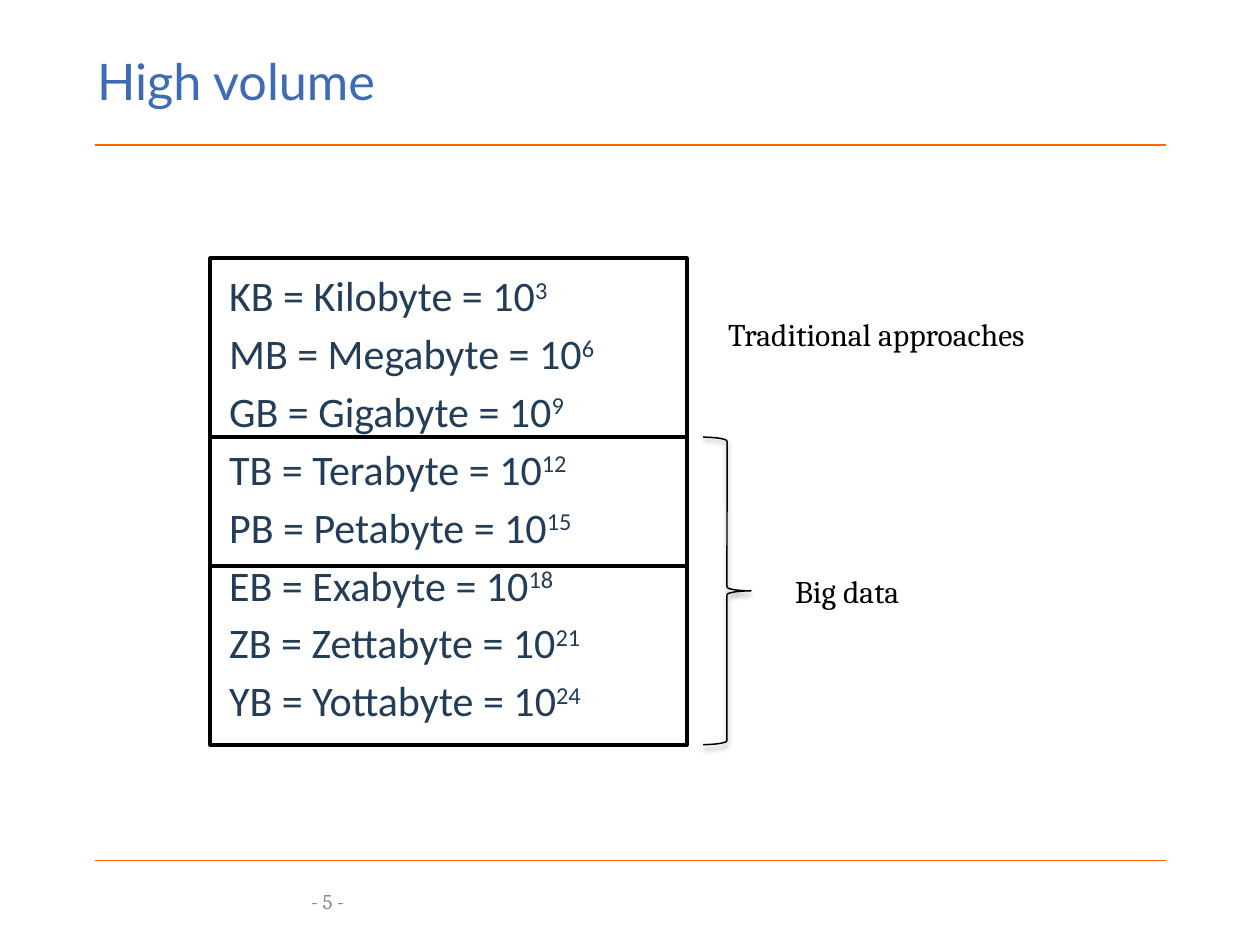
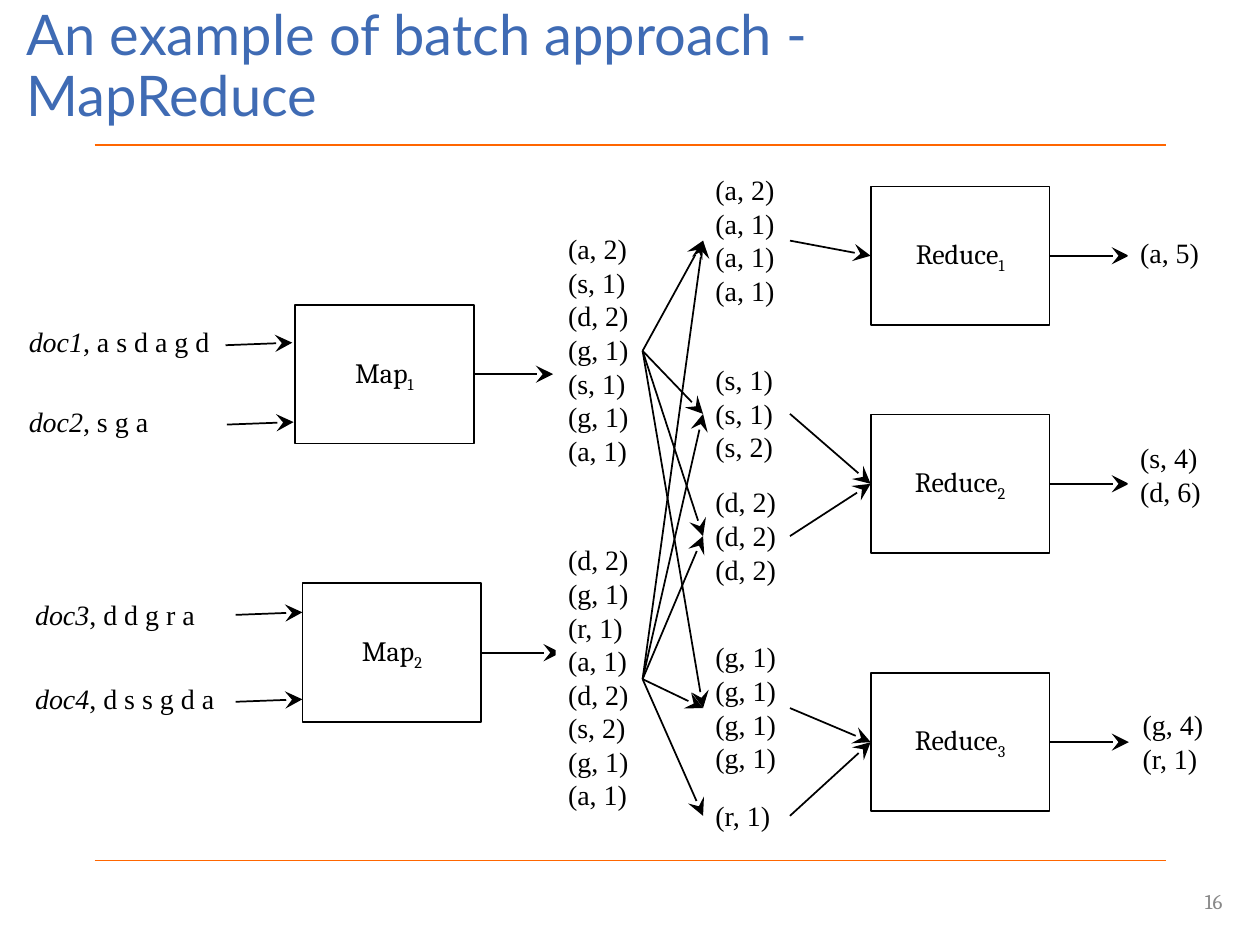
from dataclasses import dataclass

from lxml import etree
from pptx import Presentation
from pptx.dml.color import RGBColor
from pptx.enum.shapes import MSO_CONNECTOR, MSO_SHAPE
from pptx.enum.text import MSO_ANCHOR, MSO_AUTO_SIZE, PP_ALIGN
from pptx.oxml.ns import qn
from pptx.util import Inches, Pt

STRAIGHT = MSO_CONNECTOR.STRAIGHT
RECTANGLE, RIGHT_BRACE = MSO_SHAPE.RECTANGLE, MSO_SHAPE.RIGHT_BRACE
TOP, MIDDLE = MSO_ANCHOR.TOP, MSO_ANCHOR.MIDDLE
LEFT, CENTER, RIGHT = PP_ALIGN.LEFT, PP_ALIGN.CENTER, PP_ALIGN.RIGHT
NO_AUTOFIT = MSO_AUTO_SIZE.NONE
TITLE_ONLY = 5
LEFT_SITE, RIGHT_SITE = 1, 3  # connection sites of a rectangle


@dataclass(frozen=True)
class TextStyle:
    font: str
    size: float
    color: RGBColor


class Theme:
    ink = RGBColor(0x00, 0x00, 0x00)
    paper = RGBColor(0xFF, 0xFF, 0xFF)
    rule = RGBColor(0xFF, 0x66, 0x00)
    blue = RGBColor(0x3F, 0x6B, 0xB4)
    title = TextStyle("Lato", 28.8, blue)
    long_title = TextStyle("Lato", 32, blue)
    units = TextStyle("Calibri", 24, RGBColor(0x23, 0x3D, 0x58))
    label = TextStyle("Cambria", 18, ink)
    stage = TextStyle("Cambria", 16, ink)
    data = TextStyle("Times New Roman", 16, ink)
    page = TextStyle("Cambria", 12, RGBColor(0x88, 0x88, 0x88))


def inches(*lengths):
    return [Inches(length) for length in lengths]


def style_paragraph(paragraph, style, align=LEFT):
    paragraph.alignment = align
    paragraph.font.name = style.font
    paragraph.font.size = Pt(style.size)
    paragraph.font.color.rgb = style.color


def add_text(slide, box, lines, style, align=LEFT, anchor=TOP, wrap=True):
    """Add a text box with one paragraph per line and return it."""
    text_box = slide.shapes.add_textbox(*inches(*box))
    frame = text_box.text_frame
    frame.text = "\n".join(lines)
    frame.word_wrap = wrap
    frame.vertical_anchor = anchor
    for paragraph in frame.paragraphs:
        style_paragraph(paragraph, style, align)
    return text_box


def add_scripted(paragraph, text, script, baseline):
    """Append text followed by a raised or lowered script (baseline in %)."""
    paragraph.add_run().text = text
    run = paragraph.add_run()
    run.text = script
    run._r.get_or_add_rPr().set("baseline", str(baseline * 1000))


def add_outlined(slide, kind, box, width):
    shape = slide.shapes.add_shape(kind, *inches(*box))
    shape.shadow.inherit = False
    shape.fill.background()
    shape.line.color.rgb = Theme.ink
    shape.line.width = Pt(width)
    return shape


def add_line(slide, start, end, color, width):
    line = slide.shapes.add_connector(STRAIGHT, *inches(*start, *end))
    line.line.color.rgb = color
    line.line.width = Pt(width)
    etree.SubElement(line._element.spPr, qn("a:effectLst"))
    return line


def add_arrow(slide, start=(0, 0), end=(0, 0)):
    arrow = add_line(slide, start, end, Theme.ink, 1)
    etree.SubElement(arrow.line._get_or_add_ln(), qn("a:tailEnd"),
                     type="stealth", w="lg", len="lg")
    return arrow


def link(slide, source, target):
    """Draw an arrow from the right side of source to the left side of target."""
    arrow = add_arrow(slide)
    arrow.begin_connect(source, RIGHT_SITE)
    arrow.end_connect(target, LEFT_SITE)


def add_base_slide(deck, title, title_box, title_style, page, page_box):
    """Add a slide with its title, the two orange rules and the page number."""
    slide = deck.slides.add_slide(deck.slide_layouts[TITLE_ONLY])
    for y in (6.83, 1.15):
        add_line(slide, (0.75, y), (9.25, y), Theme.rule, 0.75)
    heading = slide.shapes.title
    heading.left, heading.top, heading.width, heading.height = inches(*title_box)
    frame = heading.text_frame
    frame.text = title
    frame.word_wrap = True
    frame.auto_size = NO_AUTOFIT
    frame.vertical_anchor = MIDDLE
    style_paragraph(frame.paragraphs[0], title_style)
    frame.paragraphs[0].line_spacing = 0.9
    add_text(slide, page_box, [page], Theme.page, RIGHT, MIDDLE)
    return slide


UNITS = [("KB", "Kilobyte"), ("MB", "Megabyte"), ("GB", "Gigabyte"),
         ("TB", "Terabyte"), ("PB", "Petabyte"), ("EB", "Exabyte"),
         ("ZB", "Zettabyte"), ("YB", "Yottabyte")]


def add_unit_list(slide, left, top, width, band_heights):
    """List the byte units inside a stack of framed bands."""
    units = add_text(slide, (left + 0.05, top + 0.12, width - 0.1, 3.89),
                     [""] * len(UNITS), Theme.units)
    for row, (symbol, name) in enumerate(UNITS):
        paragraph = units.text_frame.paragraphs[row]
        paragraph.line_spacing = 0.8
        paragraph.space_before = Pt(10 if row else 0)
        add_scripted(paragraph, f"{symbol} = {name} = 10", str(3 * (row + 1)), 30)
    for height in band_heights:
        add_outlined(slide, RECTANGLE, (left, top, width, height), 2.25)
        top += height


def add_brace(slide, box):
    brace = add_outlined(slide, RIGHT_BRACE, box, 0.85)
    brace.adjustments[0], brace.adjustments[1] = 0.083, 0.5
    effects = brace._element.spPr.find(qn("a:effectLst"))
    shadow = etree.SubElement(effects, qn("a:outerShdw"), blurRad=str(Pt(3)),
                              dist=str(Pt(2)), dir="5400000", rotWithShape="0")
    color = etree.SubElement(shadow, qn("a:srgbClr"), val=str(Theme.ink))
    etree.SubElement(color, qn("a:alpha"), val="40000")


def build_volume_slide(deck):
    slide = add_base_slide(deck, "High volume", (0.67, 0.41, 8.62, 0.51),
                           Theme.title, "- 5 -", (0.5, 6.95, 2.33, 0.4))
    add_unit_list(slide, 1.67, 2.05, 3.78, (1.42, 1.02, 1.42))
    add_text(slide, (5.68, 2.45, 2.76, 0.4), ["Traditional approaches"], Theme.label)
    add_text(slide, (6.21, 4.49, 1.13, 0.4), ["Big data"], Theme.label)
    add_brace(slide, (5.58, 3.47, 0.38, 2.44))


STAGE_WIDTH, STAGE_HEIGHT = 1.42, 1.1
OUTPUT_ARROW = 0.63


def add_pairs(slide, left, top, pairs):
    """Add a column of (word, count) pairs, as tall as its rows."""
    lines = [f"({word}, {count})" for word, count in pairs]
    column = add_text(slide, (left, top, 0.69, 0.1 + 0.27 * len(lines)),
                      lines, Theme.data, wrap=False)
    column.fill.solid()
    column.fill.fore_color.rgb = Theme.paper
    return column


def add_stage(slide, left, top, name, number):
    """Add a processing box with the arrow that leaves it."""
    stage = add_outlined(slide, RECTANGLE, (left, top, STAGE_WIDTH, STAGE_HEIGHT), 1)
    stage.fill.solid()
    stage.fill.fore_color.rgb = Theme.paper
    stage.text_frame.vertical_anchor = MIDDLE
    paragraph = stage.text_frame.paragraphs[0]
    style_paragraph(paragraph, Theme.stage, CENTER)
    add_scripted(paragraph, name, str(number), -25)
    right, middle = left + STAGE_WIDTH, top + STAGE_HEIGHT / 2
    add_arrow(slide, (right, middle), (right + OUTPUT_ARROW, middle))
    return stage


def add_document(slide, left, top, name, words, arrow_start):
    document = add_text(slide, (left, top, 1.68, 0.37), [""], Theme.data)
    paragraph = document.text_frame.paragraphs[0]
    title = paragraph.add_run()
    title.text = name
    title.font.italic = True
    paragraph.add_run().text = f", {words}"
    x, y = arrow_start
    add_arrow(slide, arrow_start, (x + 0.53, y - 0.02))


DOCUMENTS = [
    (0.13, 2.53, "doc1", "a s d a g d", (1.79, 2.74)),
    (0.13, 3.16, "doc2", "s g a", (1.8, 3.37)),
    (0.18, 4.69, "doc3", "d d g r a", (1.87, 4.88)),
    (0.18, 5.36, "doc4", "d s s g d a", (1.87, 5.57)),
]
MAP_STAGES = [(2.34, 2.42), (2.4, 4.63)]
MAP_OUTPUTS = [
    (1.79, [("a", 2), ("s", 1), ("d", 2), ("g", 1), ("s", 1), ("g", 1), ("a", 1)]),
    (4.26, [("d", 2), ("g", 1), ("r", 1), ("a", 1), ("d", 2), ("s", 2), ("g", 1),
            ("a", 1)]),
]
# Groups by word: top, counts, number of the reducer that takes them
GROUPS = {
    "a": (1.32, (2, 1, 1, 1), 1),
    "s": (2.83, (1, 1, 2), 2),
    "d": (3.8, (2, 2, 2), 2),
    "g": (5.03, (1, 1, 1, 1), 3),
    "r": (6.29, (1,), 3),
}
REDUCE_TOPS = (1.48, 3.29, 5.34)
RESULTS = [
    (8.95, 1.82, [("a", 5)]),
    (8.95, 3.45, [("s", 4), ("d", 6)]),
    (8.97, 5.57, [("g", 4), ("r", 1)]),
]


def add_map_side(slide):
    """Draw documents, mappers and their output; return the output columns."""
    for number, (left, top) in enumerate(MAP_STAGES, 1):
        add_stage(slide, left, top, "Map", number)
    for document in DOCUMENTS:
        add_document(slide, *document)
    return [add_pairs(slide, 4.41, top, pairs) for top, pairs in MAP_OUTPUTS]


def add_reduce_side(slide):
    """Draw groups, reducers and results; return the group columns by word."""
    reducers = [add_stage(slide, 6.91, top, "Reduce", number)
                for number, top in enumerate(REDUCE_TOPS, 1)]
    columns = {}
    for word, (top, counts, reducer) in GROUPS.items():
        columns[word] = add_pairs(slide, 5.58, top, [(word, n) for n in counts])
        link(slide, columns[word], reducers[reducer - 1])
    for left, top, pairs in RESULTS:
        add_pairs(slide, left, top, pairs)
    return columns


def build_mapreduce_slide(deck):
    slide = add_base_slide(deck, "An example of batch approach - MapReduce",
                           (0.11, 0, 7.68, 1.08), Theme.long_title,
                           "16", (7.17, 6.95, 2.63, 0.4))
    outputs = add_map_side(slide)
    groups = add_reduce_side(slide)
    for output, (_, pairs) in zip(outputs, MAP_OUTPUTS):
        for word in dict(pairs):
            link(slide, output, groups[word])


def main():
    deck = Presentation()
    deck.slide_width, deck.slide_height = inches(10, 7.5)
    build_volume_slide(deck)
    build_mapreduce_slide(deck)
    deck.save("out.pptx")


if __name__ == "__main__":
    main()
